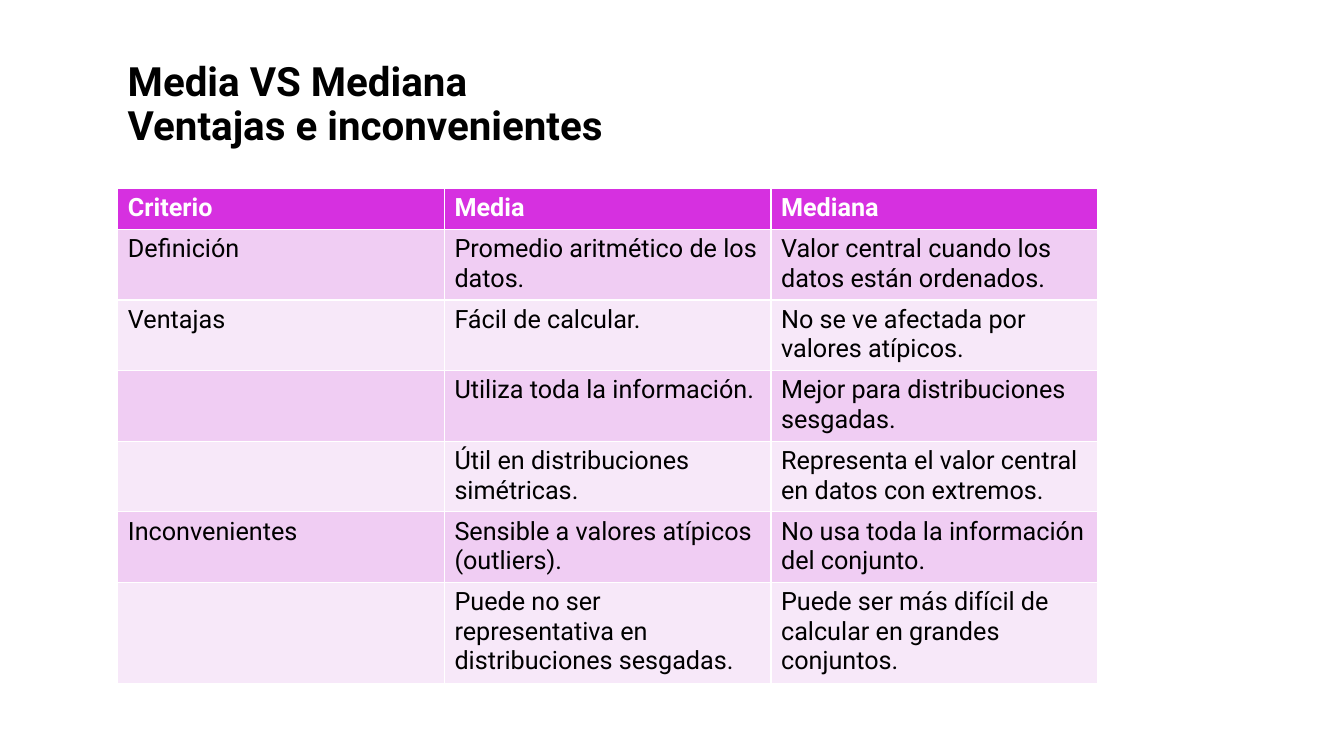
"""Build a slide comparing the mean and the median in a table."""
import pptx
import pptx.dml.color
import pptx.enum.text
import pptx.util

Cm = pptx.util.Cm
Pt = pptx.util.Pt
RGBColor = pptx.dml.color.RGBColor

TITLE = "Media VS Mediana\vVentajas e inconvenientes"
CRITERIA = [
    ("Criterio", "Media", "Mediana"),
    ("Definición", "Promedio aritmético de los datos.",
     "Valor central cuando los datos están ordenados."),
    ("Ventajas", "Fácil de calcular.", "No se ve afectada por valores atípicos."),
    ("", "Utiliza toda la información.", "Mejor para distribuciones sesgadas."),
    ("", "Útil en distribuciones simétricas.",
     "Representa el valor central en datos con extremos."),
    ("Inconvenientes", "Sensible a valores atípicos (outliers).",
     "No usa toda la información del conjunto."),
    ("", "Puede no ser representativa en distribuciones sesgadas.",
     "Puede ser más difícil de calcular en grandes conjuntos."),
]

FONT = "Roboto"
BLACK = RGBColor(0x00, 0x00, 0x00)
WHITE = RGBColor(0xFF, 0xFF, 0xFF)
MAGENTA = RGBColor(0xD6, 0x30, 0xE0)
BANDS = (RGBColor(0xF7, 0xE8, 0xF9), RGBColor(0xF0, 0xCD, 0xF3))

LEFT, WIDTH = Cm(2.97), Cm(24.69)
ROW_HEIGHT = Cm(1.03)


def style(paragraph, size, color, bold):
    font = paragraph.font
    font.name, font.size, font.bold = FONT, Pt(size), bold
    font.color.rgb = color


def add_title(slide):
    heading = slide.shapes.add_textbox(LEFT, Cm(1.24), WIDTH, Cm(2.64)).text_frame
    heading.word_wrap = True
    heading.vertical_anchor = pptx.enum.text.MSO_ANCHOR.BOTTOM
    heading.text = TITLE
    heading.paragraphs[0].line_spacing = 0.9
    style(heading.paragraphs[0], 28.8, BLACK, True)


def add_comparison(slide):
    comparison = slide.shapes.add_table(
        len(CRITERIA), len(CRITERIA[0]), LEFT, Cm(4.75), WIDTH,
        ROW_HEIGHT * len(CRITERIA)).table
    for row, texts in enumerate(CRITERIA):
        header = row == 0
        for column, text in enumerate(texts):
            cell = comparison.cell(row, column)
            cell.fill.solid()
            cell.fill.fore_color.rgb = MAGENTA if header else BANDS[row % 2]
            cell.text = text
            style(cell.text_frame.paragraphs[0], 18, WHITE if header else BLACK, header)


def main():
    deck = pptx.Presentation()
    deck.slide_width, deck.slide_height = Cm(33.87), Cm(19.05)
    slide = deck.slides.add_slide(deck.slide_layouts[6])
    add_title(slide)
    add_comparison(slide)
    deck.save("out.pptx")


if __name__ == "__main__":
    main()
